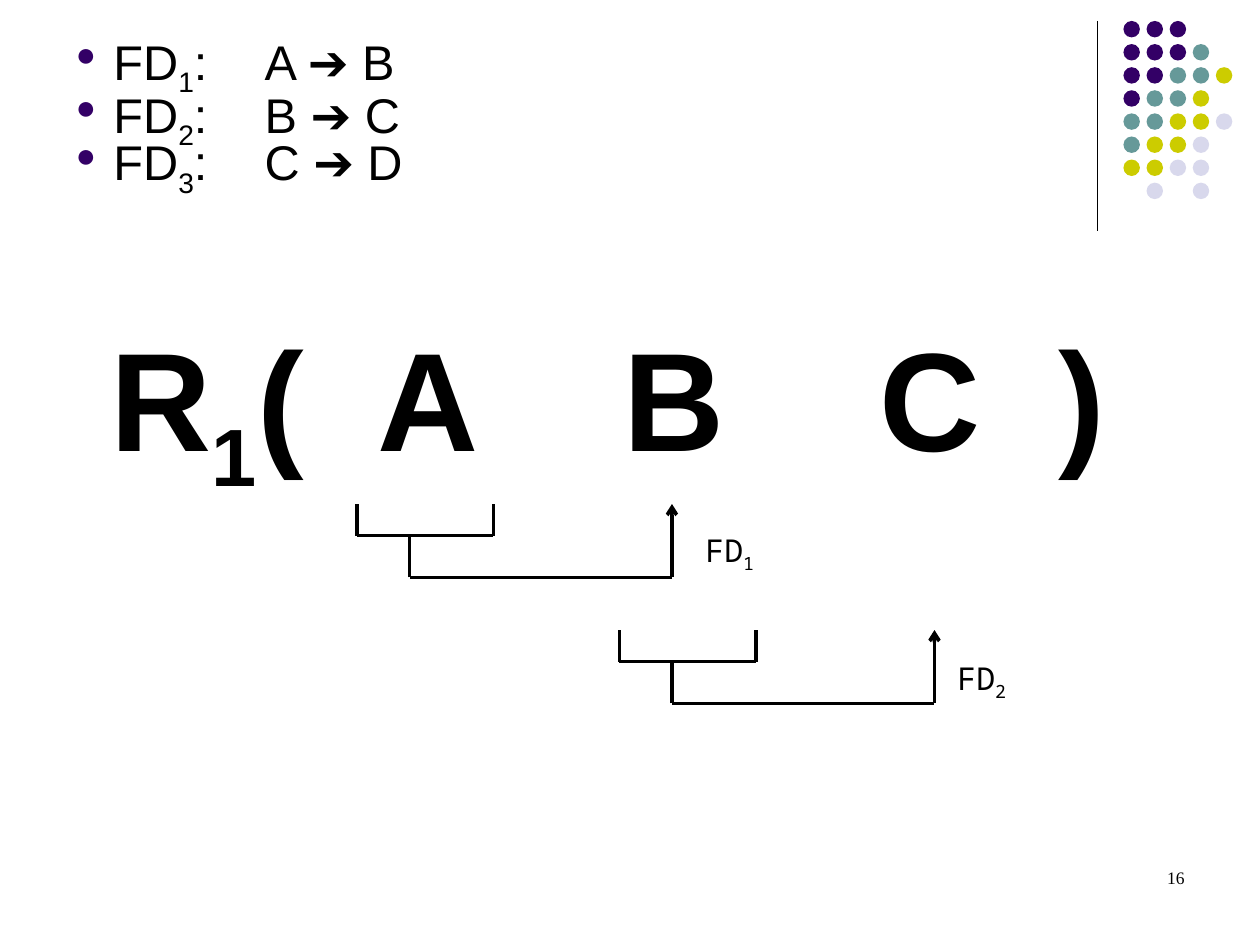
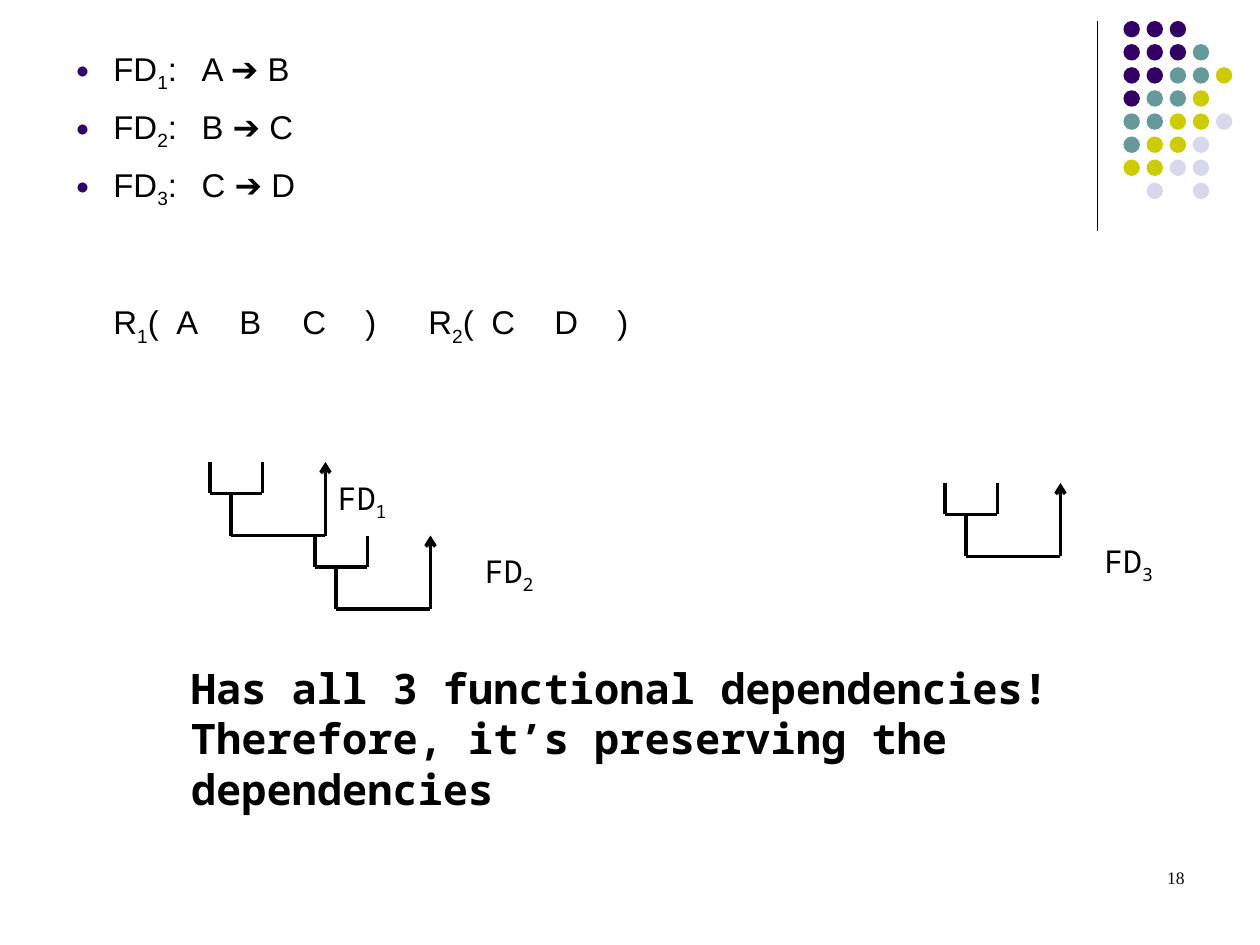
from dataclasses import dataclass

from lxml import etree
from pptx import Presentation
from pptx import util as u
from pptx.dml.color import RGBColor
from pptx.enum import shapes, text
from pptx.oxml.ns import qn

Pt = u.Pt


@dataclass(frozen=True)
class Theme:
    ink: str = "000000"
    purple: str = "330066"
    teal: str = "669999"
    lime: str = "CCCC00"
    mist: str = "D8D8EC"
    sans: str = "Arial"
    mono: str = "Noto Sans Mono"
    serif: str = "Times New Roman"
    relation: float = 80
    list_large: float = 27.8
    list_small: float = 18.8
    verdict: float = 24
    label: float = 18
    number: float = 10


T = Theme()


def write(p, content, font, size, bold=False, tabs=()):
    if tabs:
        tab_list = etree.SubElement(p._p.get_or_add_pPr(), qn("a:tabLst"))
        for pos in tabs:
            etree.SubElement(tab_list, qn("a:tab"), pos=str(Pt(pos)), algn="l")
    for i, part in enumerate(content.split("|")):
        if not part:
            continue
        r = p.add_run()
        r.text = part
        r.font.name, r.font.size, r.font.bold = font, Pt(size), bold
        r.font.color.rgb = RGBColor.from_string(T.ink)
        if i % 2:
            r._r.get_or_add_rPr().set("baseline", "-25000")


def connect(parent, x1, y1, x2, y2, width, arrow=False):
    cx = parent.add_connector(shapes.MSO_CONNECTOR.STRAIGHT, Pt(x1), Pt(y1), Pt(x2), Pt(y2))
    cx.line.width = Pt(width)
    cx.line.color.rgb = RGBColor.from_string(T.ink)
    if arrow:
        etree.SubElement(cx.line._get_or_add_ln(), qn("a:tailEnd"), type="arrow")
    etree.SubElement(cx.element.spPr, qn("a:effectLst"))
    return cx


pages = [
    dict(
        number="16", size=T.list_large, spacing=0.6, height=150, gaps=(0, 7.5, 4.5),
        tabs=(75.2, 67.6), relations=None,
        brackets=[(204, 288), (354, 360)], bracket=(78, 30, 180),
        labels=[(396, 300, "1"), (540, 373, "2")],
        boxes=[(56.2, 174.2, 591, 116.6, ["R|1|(\tA\tB\tC\t)"], T.relation,
                T.sans, (152.6, 292.8, 439.5, 541.5))],
    ),
    dict(
        number="18", size=T.list_small, spacing=1, height=216, gaps=(0, 7.5, 7.5),
        tabs=(50.6, 46), relations="R|1|(\tA\tB\tC\t)\tR|2|(\tC\tD\t)",
        brackets=[(120, 264), (180, 306), (540, 276)], bracket=(30, 12, 66),
        labels=[(186, 270, "1"), (270, 312, "2"), (624, 306, "3")],
        boxes=[(102, 375, 528, 94, ["Has all 3 functional dependencies!",
                                    "Therefore, it’s preserving the dependencies"],
                T.verdict, T.mono, ())],
    ),
]
dependencies = ["FD|1|:\tA ➔ B", "FD|2|:\tB ➔ C", "FD|3|:\tC ➔ D"]
relation_tabs = (34.9, 72.4, 110.6, 134.8, 288, 324, 358.5, 382.5)

prs = Presentation()
prs.slide_width, prs.slide_height = Pt(720), Pt(540)
layout = prs.slide_layouts[1]
slides = [prs.slides.add_slide(layout) for _ in pages]

rule = connect(slides[0].shapes, 627, 12, 627, 132, 0.75)
dots = slides[0].shapes.add_group_shape()
dot_colors = {"P": T.purple, "T": T.teal, "Y": T.lime, "L": T.mist}
dot_rows = ["PPP", "PPPT", "PPTTY", "PTTY", "TTYYL", "TYYL", "YYLL", " L L"]
for row, marks in enumerate(dot_rows):
    for col, mark in enumerate(marks):
        if mark in dot_colors:
            sp = dots.shapes.add_shape(shapes.MSO_SHAPE.OVAL, Pt(642 + 13.2 * col),
                                       Pt(12 + 13.2 * row), Pt(9.4), Pt(9.4))
            sp.shadow.inherit = False
            sp.fill.solid()
            sp.fill.fore_color.rgb = RGBColor.from_string(dot_colors[mark])
            sp.line.fill.background()
for sp in (rule, dots):
    layout.shapes.element.append(sp.element)

for s, page in zip(slides, pages):
    title = s.shapes.title.element
    title.getparent().remove(title)

    body = s.placeholders[1]
    body.left, body.top, body.width, body.height = Pt(36), Pt(24), Pt(648), Pt(page["height"])
    tf = body.text_frame
    tf.auto_size = text.MSO_AUTO_SIZE.NONE
    for i, (line, gap) in enumerate(zip(dependencies, page["gaps"])):
        p = tf.add_paragraph() if i else tf.paragraphs[0]
        p.line_spacing, p.space_before = page["spacing"], Pt(gap)
        pPr = p._p.get_or_add_pPr()
        pPr.set("marL", str(Pt(21.6)))
        pPr.set("indent", str(-Pt(21.6)))
        color = etree.SubElement(pPr, qn("a:buClr"))
        etree.SubElement(color, qn("a:srgbClr"), val=T.purple)
        etree.SubElement(pPr, qn("a:buSzPct"), val="70000")
        etree.SubElement(pPr, qn("a:buChar"), char="●")
        write(p, line, T.sans, page["size"], tabs=[page["tabs"][min(i, 1)]])
    if page["relations"]:
        p = tf.add_paragraph()
        p.space_before = Pt(53)
        pPr = p._p.get_or_add_pPr()
        pPr.set("marL", str(Pt(21.6)))
        pPr.set("indent", "0")
        etree.SubElement(pPr, qn("a:buNone"))
        write(p, page["relations"], T.sans, page["size"], tabs=relation_tabs)

    width, stem, reach = page["bracket"]
    for x, y in page["brackets"]:
        g = s.shapes.add_group_shape().shapes
        base, floor = y + 18, y + 42
        connect(g, x, base, x + width, base, 2)
        connect(g, x, base, x, y, 2)
        connect(g, x + width, base, x + width, y, 2)
        connect(g, x + stem, floor, x + stem, base, 2)
        connect(g, x + stem, floor, x + reach, floor, 2)
        connect(g, x + reach, floor, x + reach, y, 2, arrow=True)

    boxes = [(*box, True, text.PP_ALIGN.LEFT) for box in page["boxes"]]
    boxes += [(x, y, 66, 31.7, [f"FD|{n}|"], T.label, T.mono, (), False, text.PP_ALIGN.LEFT)
              for x, y, n in page["labels"]]
    boxes.append((516, 492, 168, 36, [page["number"]], T.number, T.serif, (), False,
                  text.PP_ALIGN.RIGHT))
    for x, y, w, h, lines, size, font, tabs, bold, align in boxes:
        tf = s.shapes.add_textbox(Pt(x), Pt(y), Pt(w), Pt(h)).text_frame
        tf.word_wrap = True
        for i, line in enumerate(lines):
            p = tf.add_paragraph() if i else tf.paragraphs[0]
            p.alignment = align
            write(p, line, font, size, bold, tabs)

prs.save("out.pptx")
